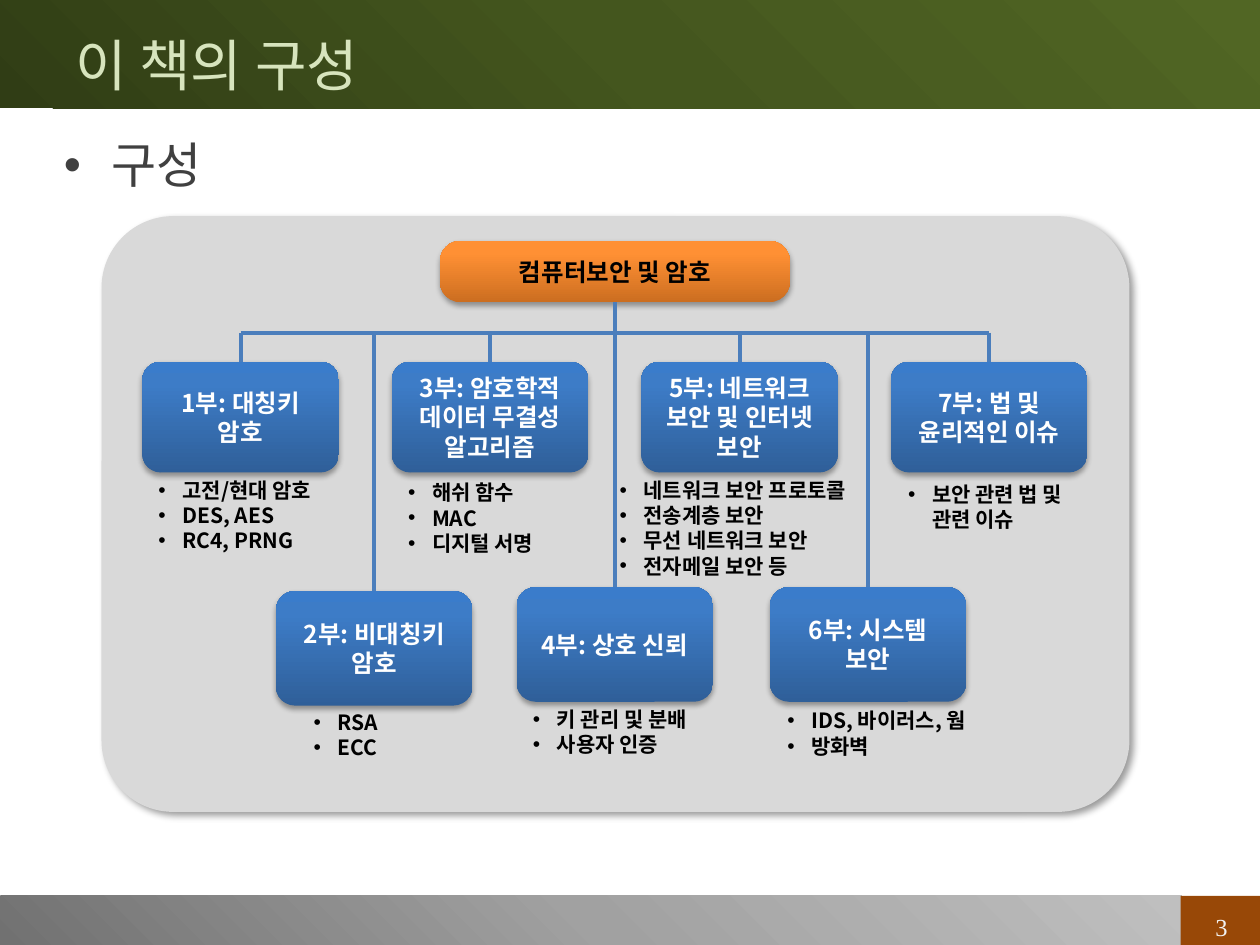
"""Build the book-structure slide: a root topic and seven parts in two rows."""
from lxml import etree
from pptx import Presentation
from pptx.dml.color import RGBColor
from pptx.enum.shapes import MSO_CONNECTOR, MSO_SHAPE
from pptx.enum.text import MSO_ANCHOR, MSO_AUTO_SIZE, PP_ALIGN
from pptx.oxml.ns import qn
from pptx.util import Inches, Pt

RECTANGLE = MSO_SHAPE.RECTANGLE
ROUNDED = MSO_SHAPE.ROUNDED_RECTANGLE
STRAIGHT = MSO_CONNECTOR.STRAIGHT
MIDDLE = MSO_ANCHOR.MIDDLE
TOP = MSO_ANCHOR.TOP
FIT_SHAPE = MSO_AUTO_SIZE.SHAPE_TO_FIT_TEXT
CENTER = PP_ALIGN.CENTER
LEFT = PP_ALIGN.LEFT

SANS = "Noto Sans CJK KR"
SERIF = "Times New Roman"
BLACK = RGBColor(0x00, 0x00, 0x00)
WHITE = RGBColor(0xFF, 0xFF, 0xFF)
TITLE_GREEN = RGBColor(0xD7, 0xE4, 0xBD)
BODY_GRAY = RGBColor(0x40, 0x40, 0x40)
NUMBER_GRAY = RGBColor(0xF2, 0xF2, 0xF2)
PANEL_GRAY = RGBColor(0xD9, 0xD9, 0xD9)
NUMBER_BROWN = RGBColor(0x98, 0x48, 0x07)
LINE_BLUE = RGBColor(0x4B, 0x7E, 0xBC)
GRAY_STOPS = [(0, RGBColor(0x71, 0x71, 0x71)), (50, RGBColor(0xA1, 0xA1, 0xA1)),
              (100, RGBColor(0xBF, 0xBF, 0xBF))]
GREEN_STOPS = [(0, RGBColor(0x30, 0x3D, 0x15)), (50, RGBColor(0x44, 0x56, 0x1E)),
               (100, RGBColor(0x51, 0x66, 0x24))]
ORANGE_STOPS = [(0, RGBColor(0xCC, 0x6E, 0x20)), (80, RGBColor(0xFF, 0x90, 0x34)),
                (100, RGBColor(0xFF, 0x91, 0x36))]
BLUE_STOPS = [(0, RGBColor(0x2F, 0x5F, 0x99)), (80, RGBColor(0x3D, 0x7C, 0xC7)),
              (100, RGBColor(0x3A, 0x7C, 0xCB))]
BOX_SHADOW = (35, 3.1, 1.8, 90)
PANEL_SHADOW = (40, 4, 3, 45)

presentation = Presentation()
presentation.slide_width = Inches(10)
presentation.slide_height = Inches(7.5)
slide = presentation.slides.add_slide(presentation.slide_layouts[6])


def add_block(kind, position, fill, angle=90, shadow=None):
    shape = slide.shapes.add_shape(kind, *map(Inches, position))
    shape.shadow.inherit = False
    shape.line.fill.background()
    properties = shape._element.spPr
    if isinstance(fill, RGBColor):
        shape.fill.solid()
        shape.fill.fore_color.rgb = fill
    else:
        shape.fill.gradient()
        shape.fill.gradient_angle = angle
        stops = properties.find(qn("a:gradFill")).find(qn("a:gsLst"))
        for stop in list(stops):
            stops.remove(stop)
        for percent, color in fill:
            stop = etree.SubElement(stops, qn("a:gs"), pos=str(percent * 1000))
            etree.SubElement(stop, qn("a:srgbClr"), val=str(color))
    if shadow:
        opacity, blur, distance, direction = shadow
        outer = etree.SubElement(
            properties.find(qn("a:effectLst")), qn("a:outerShdw"),
            blurRad=str(Pt(blur)), dist=str(Pt(distance)),
            dir=str(direction * 60000), rotWithShape="0")
        color = etree.SubElement(outer, qn("a:srgbClr"), val="000000")
        etree.SubElement(color, qn("a:alpha"), val=str(opacity * 1000))
    return shape


def write_text(shape, lines, size, color, bold=False, font=SANS, align=LEFT,
               anchor=TOP, indent=None, wrap=True):
    frame = shape.text_frame
    frame.word_wrap = wrap
    frame.vertical_anchor = anchor
    frame.text = "\n".join(lines)
    for paragraph in frame.paragraphs:
        paragraph.alignment = align
        if indent:
            properties = paragraph._p.get_or_add_pPr()
            properties.set("marL", str(Inches(indent)))
            properties.set("indent", str(-Inches(indent)))
            etree.SubElement(properties, qn("a:buFont"), typeface="Arial")
            etree.SubElement(properties, qn("a:buChar"), char="•")
        paragraph.font.size = Pt(size)
        paragraph.font.bold = bold
        paragraph.font.color.rgb = color
        paragraph.font.name = font
        etree.SubElement(paragraph.font._element, qn("a:ea"), typeface=SANS)


add_block(RECTANGLE, (0, 7.11, 9.38, 0.39), GRAY_STOPS, 45)
add_block(RECTANGLE, (0, 0, 10, 0.86), GREEN_STOPS, 45)
add_block(RECTANGLE, (9.37, 7.11, 0.63, 0.39), NUMBER_BROWN)

number = slide.shapes.add_textbox(Inches(9.38), Inches(7.19), Inches(0.63), Inches(0.32))
write_text(number, ["3"], 14, NUMBER_GRAY, font=SERIF, align=CENTER)
title = slide.shapes.add_textbox(Inches(0.5), Inches(0.16), Inches(9), Inches(0.7))
write_text(title, ["이 책의 구성"], 32, TITLE_GREEN, anchor=MIDDLE)
body = slide.shapes.add_textbox(Inches(0.41), Inches(1.02), Inches(9), Inches(5.53))
write_text(body, ["구성"], 28, BODY_GRAY, font=SERIF, indent=0.38)

panel = add_block(ROUNDED, (0.82, 1.73, 8.13, 4.7), PANEL_GRAY, shadow=PANEL_SHADOW)
panel.adjustments[0] = 0.118
panel.line.color.rgb = PANEL_GRAY
panel.line.width = Pt(2)

root = add_block(ROUNDED, (3.49, 1.91, 2.78, 0.49), ORANGE_STOPS, shadow=BOX_SHADOW)
root.adjustments[0] = 0.343
write_text(root, ["컴퓨터보안 및 암호"], 14, BLACK, True, align=CENTER, anchor=MIDDLE)

BUS_TOP = 2.64
BOX_WIDTH = 1.56
UPPER = (2.87, 0.88)
LOWER = (4.66, 0.91)
parts = [
    ("1부: 대칭키 암호", 1.13, UPPER, (1.16, 3.74, 1.53, 0.71),
     ["고전/현대 암호", "DES, AES", "RC4, PRNG"]),
    ("2부: 비대칭키 암호", 2.19, (4.69, 0.91), (2.39, 5.58, 0.75, 0.5), ["RSA", "ECC"]),
    ("3부: 암호학적 데이터 무결성 알고리즘", 3.11, UPPER, (3.14, 3.76, 1.29, 0.71),
     ["해쉬 함수", "MAC", "디지털 서명"]),
    ("4부: 상호 신뢰", 4.1, LOWER, (4.13, 5.56, 1.58, 0.5),
     ["키 관리 및 분배", "사용자 인증"]),
    ("5부: 네트워크 보안 및 인터넷 보안", 5.09, UPPER, (4.82, 3.74, 2.19, 0.91),
     ["네트워크 보안 프로토콜", "전송계층 보안", "무선 네트워크 보안", "전자메일 보안 등"]),
    ("6부: 시스템 보안", 6.11, LOWER, (6.15, 5.57, 1.71, 0.5),
     ["IDS, 바이러스, 웜", "방화벽"]),
    ("7부: 법 및 윤리적인 이슈", 7.07, UPPER, (7.11, 3.77, 1.52, 0.5),
     ["보안 관련 법 및 관련 이슈"]),
]

bus = slide.shapes.add_connector(
    STRAIGHT, Inches(1.91), Inches(BUS_TOP), Inches(7.85), Inches(BUS_TOP))
trunk = slide.shapes.add_connector(
    STRAIGHT, Inches(4.88), Inches(2.4), Inches(4.88), Inches(2.68))
trunk.begin_connect(root, 2)
connectors = [bus, trunk]

for heading, left, (top, height), topics_position, topics in parts:
    box = add_block(ROUNDED, (left, top, BOX_WIDTH, height), BLUE_STOPS, shadow=BOX_SHADOW)
    write_text(box, [heading], 14, WHITE, True, align=CENTER, anchor=MIDDLE)
    center = Inches(left + BOX_WIDTH / 2)
    drop = slide.shapes.add_connector(STRAIGHT, center, Inches(BUS_TOP), center, Inches(top))
    drop.end_connect(box, 0)
    connectors.append(drop)
    topic_box = slide.shapes.add_textbox(*map(Inches, topics_position))
    write_text(topic_box, topics, 12, BLACK, True, indent=0.19)
    topic_box.text_frame.auto_size = FIT_SHAPE

for connector in connectors:
    connector.line.color.rgb = LINE_BLUE
    connector.line.width = Pt(2.25)
    etree.SubElement(connector._element.spPr, qn("a:effectLst"))

presentation.save("out.pptx")
